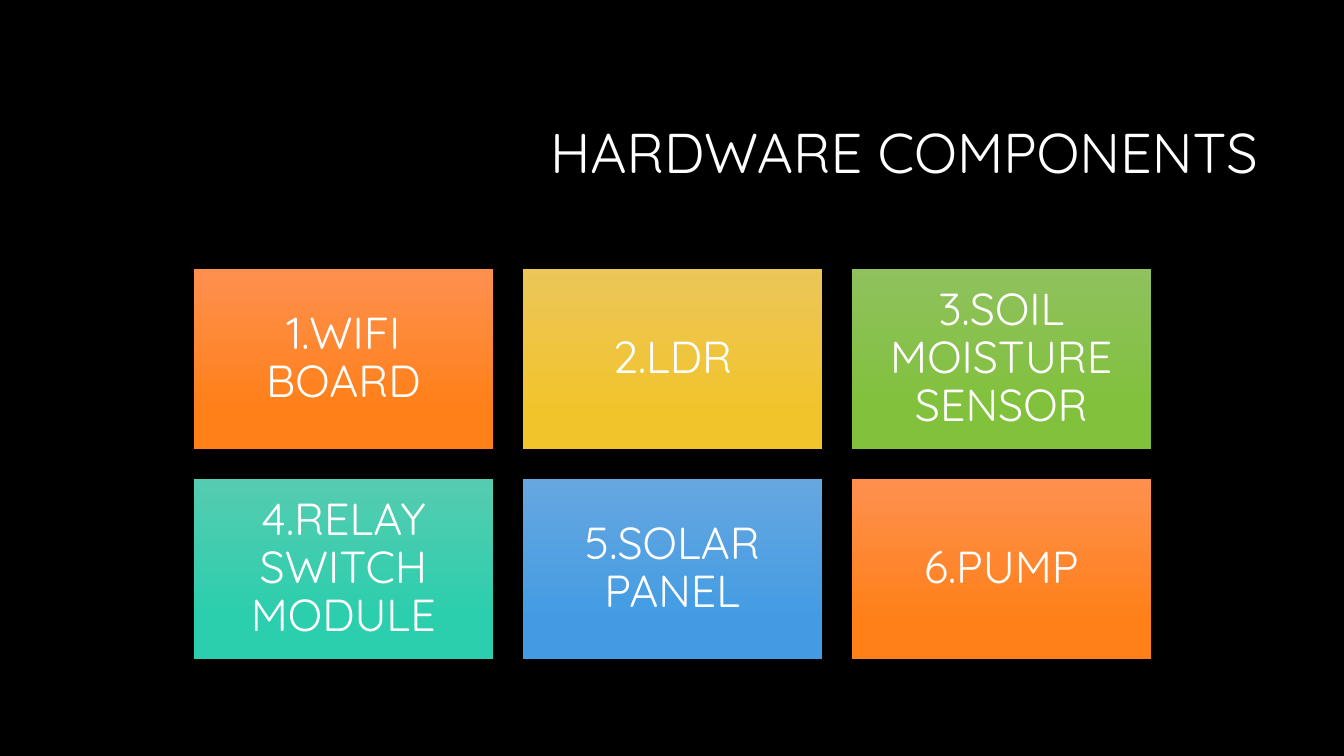
from pptx import Presentation
from pptx.dml.color import RGBColor
from pptx.enum.shapes import MSO_SHAPE
from pptx.enum.text import MSO_ANCHOR, PP_ALIGN
from pptx.util import Emu, Pt

# Content
TITLE = "HARDWARE COMPONENTS"
COMPONENTS = [
    ("1.WIFI BOARD", "orange"),
    ("2.LDR", "yellow"),
    ("3.SOIL MOISTURE SENSOR", "green"),
    ("4.RELAY SWITCH MODULE", "teal"),
    ("5.SOLAR PANEL", "blue"),
    ("6.PUMP", "orange"),
]

# Theme
THEME = {
    "font": "Quicksand",
    "background": "000000",
    "text": "FFFFFF",
    "title_size": 40,
    "card_size": 32,
    "gradients": {
        "orange": ("FE904F", "FF8019"),
        "yellow": ("EBC659", "F2C42C"),
        "green": ("8FC15E", "81C13C"),
        "teal": ("55CCB1", "2BCEAD"),
        "blue": ("66A7E0", "439CE3"),
    },
    "gradient_stops": (0, 0.78),
}

# Layout in px
SLIDE_W, SLIDE_H = 1344, 756
TITLE_BOX = (318, 84, 950, 142)
GRID_LEFT, GRID_TOP = 194, 269
CARD_W, CARD_H, GAP, COLUMNS = 299, 180, 30, 3
CARD_MARGIN = 13


def px(n):
    return Emu(round(n * 914400 / 100.8))


def set_all(obj, values):
    for name, value in values.items():
        setattr(obj, name, value)


def place(sp, box):
    set_all(sp, dict(zip(("left", "top", "width", "height"), map(px, box))))


def write(sp, text, size, align):
    tf = sp.text_frame
    set_all(tf, {"word_wrap": True, "vertical_anchor": MSO_ANCHOR.MIDDLE})
    p = tf.paragraphs[0]
    set_all(p, {"alignment": align, "line_spacing": 0.9})
    r = p.add_run()
    r.text = text
    set_all(r.font, {"name": THEME["font"], "size": Pt(size)})
    r.font.color.rgb = RGBColor.from_string(THEME["text"])


def add_card(s, index, text, color):
    row, col = divmod(index, COLUMNS)
    left = GRID_LEFT + col * (CARD_W + GAP)
    top = GRID_TOP + row * (CARD_H + GAP)
    sp = s.shapes.add_shape(MSO_SHAPE.RECTANGLE, *map(px, (left, top, CARD_W, CARD_H)))
    sp.shadow.inherit = False
    sp.line.fill.background()
    sp.fill.gradient()
    sp.fill.gradient_angle = 270
    stops = zip(sp.fill.gradient_stops, THEME["gradient_stops"], THEME["gradients"][color])
    for stop, position, rgb in stops:
        stop.position = position
        stop.color.rgb = RGBColor.from_string(rgb)
    sides = ("margin_left", "margin_top", "margin_right", "margin_bottom")
    set_all(sp.text_frame, dict.fromkeys(sides, px(CARD_MARGIN)))
    write(sp, text, THEME["card_size"], PP_ALIGN.CENTER)


def main():
    prs = Presentation()
    set_all(prs, {"slide_width": px(SLIDE_W), "slide_height": px(SLIDE_H)})
    s = prs.slides.add_slide(prs.slide_layouts[5])
    s.background.fill.solid()
    s.background.fill.fore_color.rgb = RGBColor.from_string(THEME["background"])

    # Title
    place(s.shapes.title, TITLE_BOX)
    write(s.shapes.title, TITLE, THEME["title_size"], PP_ALIGN.RIGHT)

    # Component cards
    for index, (text, color) in enumerate(COMPONENTS):
        add_card(s, index, text, color)

    prs.save("out.pptx")


if __name__ == "__main__":
    main()
